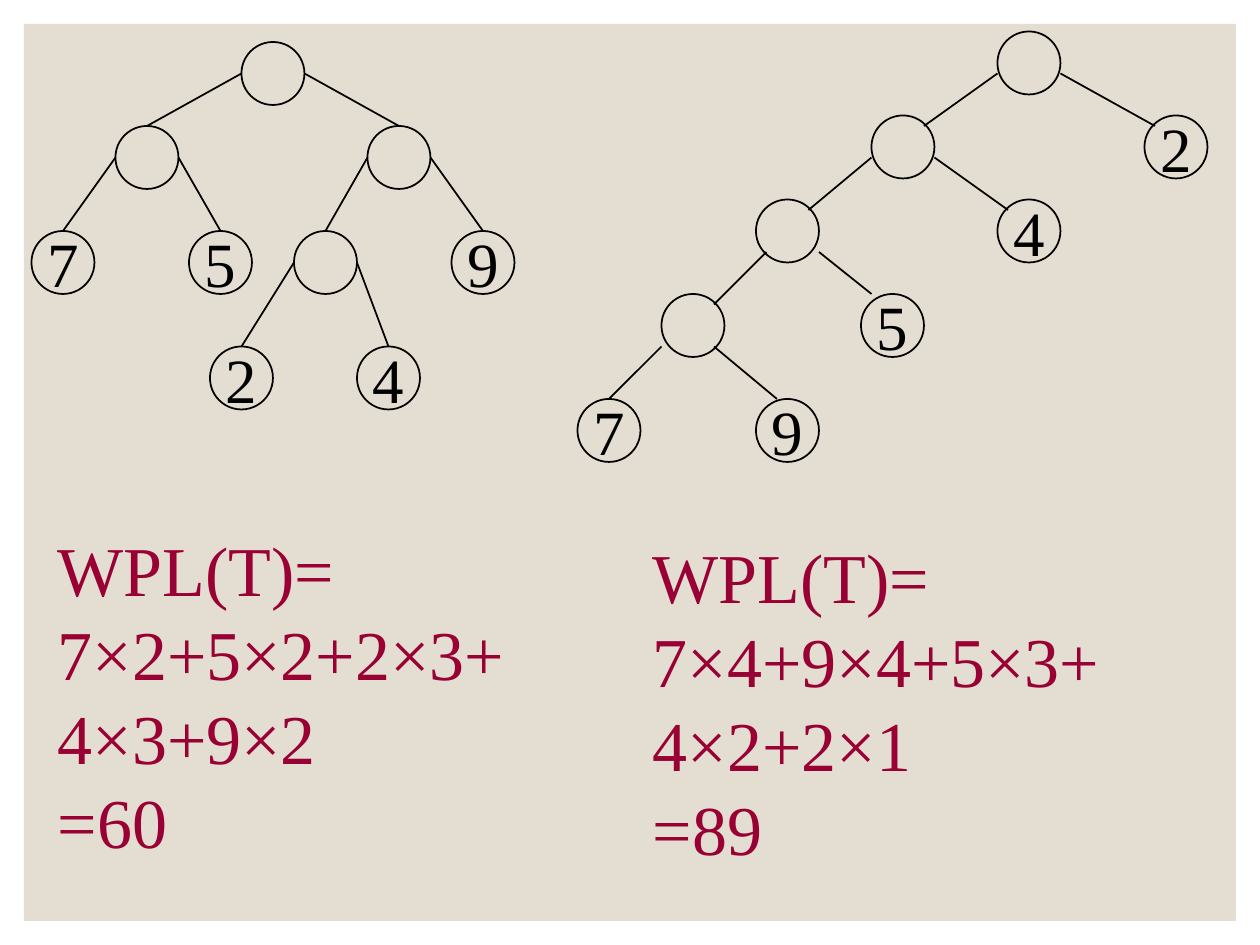
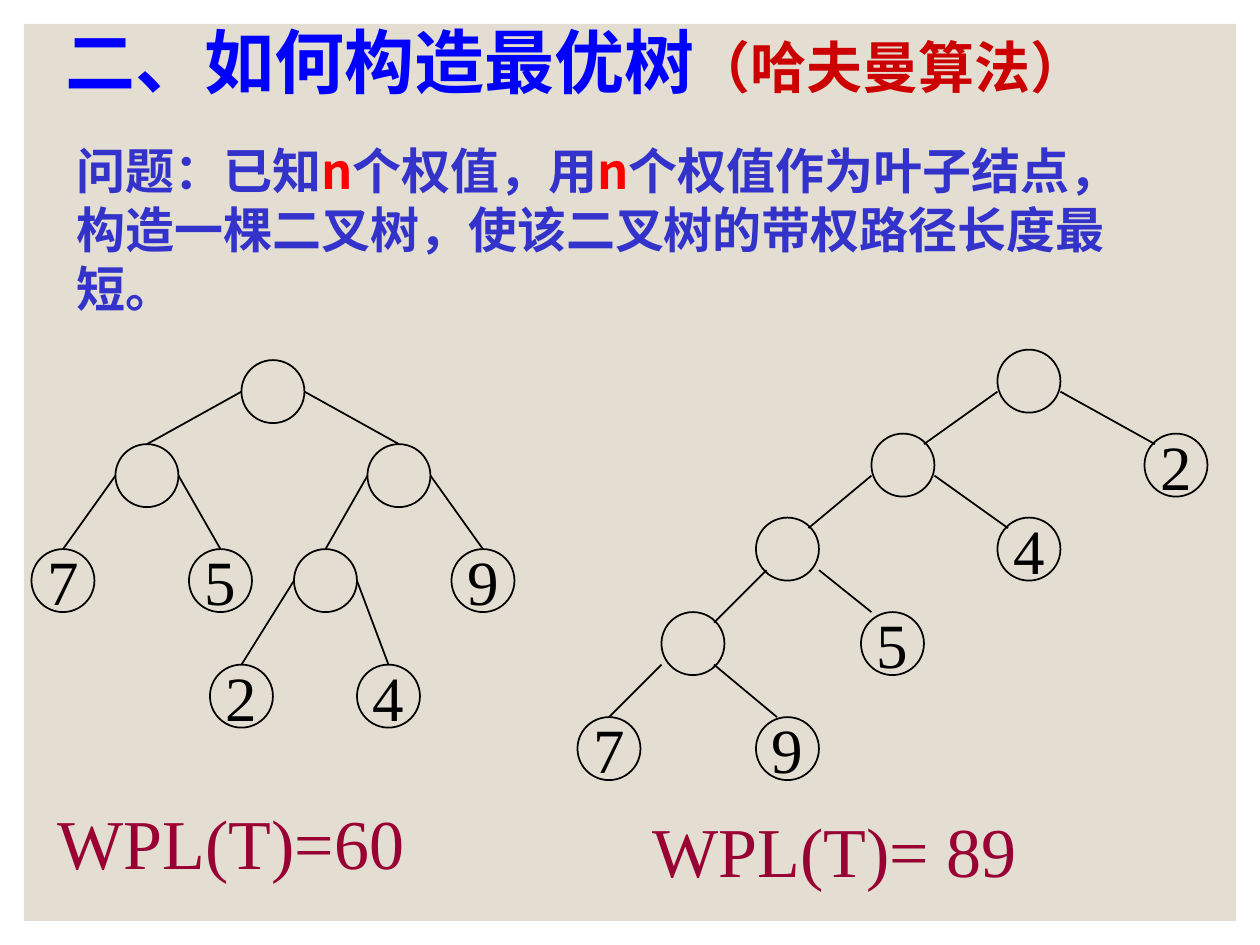
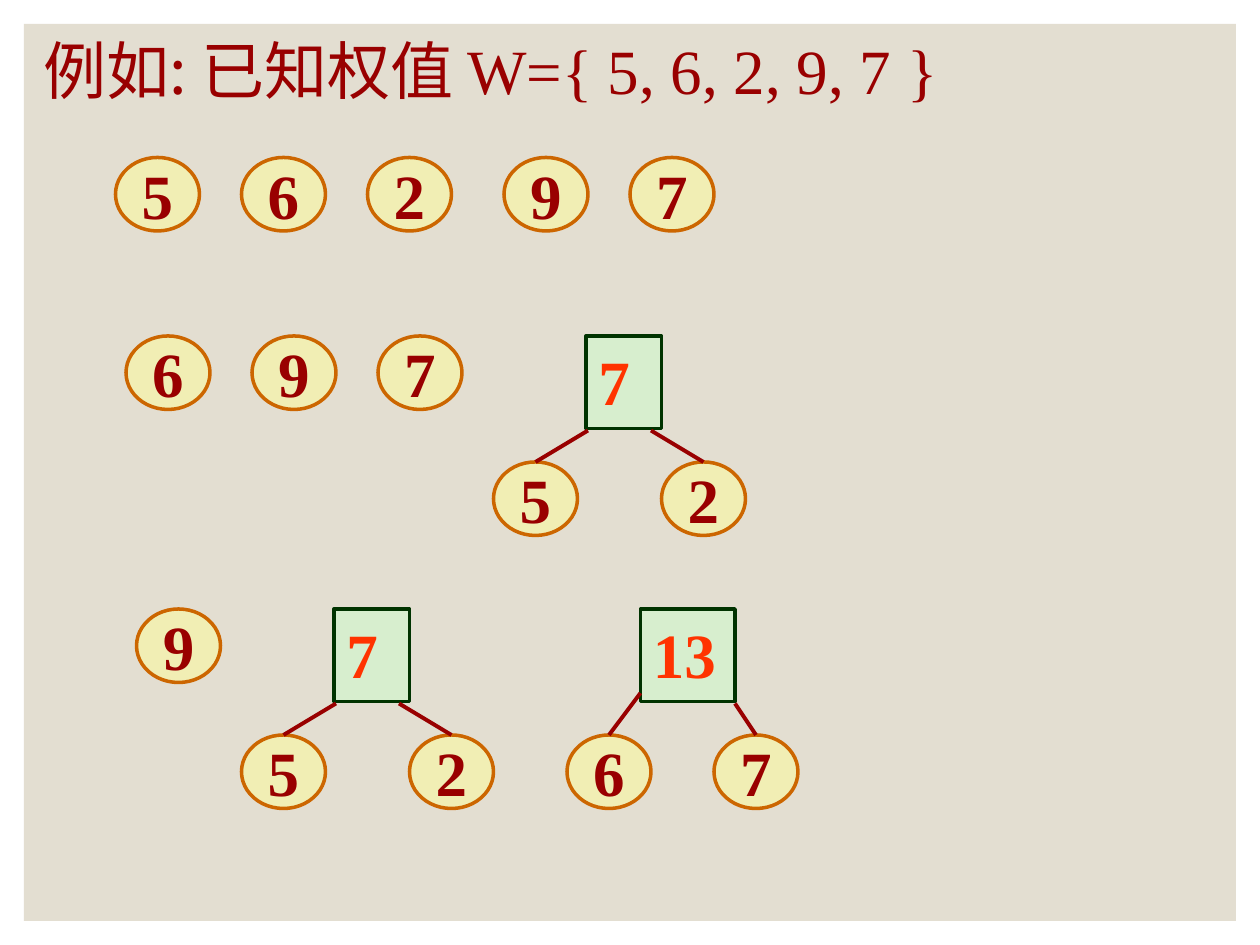
from lxml import etree
from pptx import Presentation
from pptx.dml.color import RGBColor
from pptx.enum.shapes import MSO_CONNECTOR, MSO_SHAPE
from pptx.enum.text import MSO_ANCHOR, MSO_AUTO_SIZE, PP_ALIGN
from pptx.oxml.ns import qn
from pptx.util import Pt

LEFT, CENTER = PP_ALIGN.LEFT, PP_ALIGN.CENTER
TOP, MIDDLE = MSO_ANCHOR.TOP, MSO_ANCHOR.MIDDLE
OVAL, RECTANGLE = MSO_SHAPE.OVAL, MSO_SHAPE.RECTANGLE
STRAIGHT = MSO_CONNECTOR.STRAIGHT
SERIF, CJK = "Times New Roman", "Noto Sans CJK SC"
LINE_SPACING = 1.2
BLACK, DARK_RED, WINE = "000000", "990000", "990033"
BLUE, INDIGO, RED, BRICK = "0000FF", "3333CC", "FF0000", "CC0000"
SAND, YELLOW, ORANGE = "E3DED1", "FFFF99", "CC6600"
GREEN, DARK_GREEN, VERMILION = "CCFFCC", "003300", "FF3300"


def color(hex_string):
    """Turn a hex string into a colour."""
    return RGBColor.from_string(hex_string)


def write(shape, runs, bold=False, align=LEFT, anchor=TOP, wrap=True):
    """Fill a shape with one paragraph of (text, size, font, colour) runs."""
    frame = shape.text_frame
    frame.auto_size = MSO_AUTO_SIZE.NONE
    frame.word_wrap = wrap
    frame.vertical_anchor = anchor
    paragraph = frame.paragraphs[0]
    paragraph.alignment = align
    paragraph.space_before = Pt(0)
    paragraph.line_spacing = Pt(LINE_SPACING * runs[0][1])
    paragraph.font.bold = bold
    for text, size, face, hex_string in runs:
        for index, line in enumerate(text.split("\n")):
            if index:
                paragraph.add_line_break()
            run = paragraph.add_run()
            run.text = line
            run.font.size = Pt(size)
            run.font.name = face
            run.font.bold = bold
            run.font.color.rgb = color(hex_string)
            etree.SubElement(run.font._element, qn("a:ea"), typeface=CJK)


prs = Presentation()
prs.slide_width, prs.slide_height = Pt(720), Pt(540)
blank, title_only, title_and_body = (prs.slide_layouts[i] for i in (6, 5, 1))
comparison = prs.slides.add_slide(blank)
problem = prs.slides.add_slide(title_and_body)
example = prs.slides.add_slide(title_only)

# The sand panel belongs to the master, behind everything
panel = comparison.shapes.add_shape(RECTANGLE, Pt(13.7), Pt(13.7), Pt(692.6), Pt(512.6))
panel.shadow.inherit = False
panel.fill.solid()
panel.fill.fore_color.rgb = color(SAND)
panel.line.fill.background()
prs.slide_master.shapes._spTree.insert(2, panel._element)

# Headings
title = problem.shapes.title
title.left, title.top, title.width, title.height = Pt(30), Pt(7.2), Pt(660), Pt(84)
write(title, [("二、如何构造最优树", 40, SERIF, BLUE),
              ("（哈夫曼算法）", 32, SERIF, BRICK)], bold=True)

question = problem.placeholders[1]
question.left, question.top, question.width, question.height = Pt(36.7), Pt(77), Pt(635), Pt(108)
question_runs = [("问题：已知", INDIGO), ("n", RED), ("个权值，用", INDIGO), ("n", RED),
                 ("个权值作为叶子结点，构造一棵二叉树，使该二叉树的带权路径长度最短。", INDIGO)]
write(question, [(text, 28, CJK, tint) for text, tint in question_runs], bold=True)
question_props = question.text_frame.paragraphs[0]._p.get_or_add_pPr()
for setting in ("marL", "indent", "hangingPunct"):
    question_props.set(setting, "0")
etree.SubElement(question_props, qn("a:buNone"))

title = example.shapes.title
title.left, title.top, title.width, title.height = Pt(17.6), Pt(14.4), Pt(600), Pt(50.4)
write(title, [("例如: 已知权值 ", 36, CJK, DARK_RED),
              ("W={ 5, 6, 2, 9, 7 }", 36, SERIF, DARK_RED)])

# Trees on a 6 pt grid; leaves are named by their weight, inner nodes by a letter
GRID, NODE = 6, 36
balanced_nodes = {"A": (23, 4), "B": (11, 12), "C": (35, 12), "D": (28, 22), "7": (3, 22),
                  "5": (18, 22), "9": (43, 22), "2": (20, 33), "4": (34, 33)}
# Each branch leaves the side of the parent and meets the top of the child
balanced_branches = [(parent, child, (side, 3), (3, 0))
                     for parent, children in (("A", "BC"), ("B", "75"), ("C", "D9"), ("D", "24"))
                     for child, side in zip(children, (0, 6))]
skewed_nodes = {"A": (95, 3), "B": (83, 11), "C": (72, 19), "D": (63, 28), "2": (109, 11),
                "4": (95, 19), "5": (82, 28), "7": (55, 38), "9": (72, 38)}
# Parent, child, then the offsets of both ends from their nodes
skewed_branches = [("A", "B", (0, 4), (5, 1)), ("A", "2", (6, 4), (1, 1)),
                   ("B", "C", (0, 4), (5, 1)), ("B", "4", (6, 4), (1, 1)),
                   ("C", "D", (1, 5), (5, 1)), ("C", "5", (6, 5), (1, 0)),
                   ("D", "7", (0, 5), (3, 0)), ("D", "9", (5, 5), (2, 0))]

branches = []  # slide, x1, y1, x2, y2, colour, width
for slide, drop in ((comparison, 0), (problem, 181.8)):
    for nodes, links in ((balanced_nodes, balanced_branches), (skewed_nodes, skewed_branches)):
        for name, (column, row) in nodes.items():
            node = slide.shapes.add_shape(OVAL, Pt(column * GRID), Pt(row * GRID + drop),
                                          Pt(NODE), Pt(NODE))
            node.shadow.inherit = False
            node.fill.background()
            node.line.color.rgb = color(BLACK)
            node.line.width = Pt(1)
            if name.isdigit():
                write(node, [(name, 36, SERIF, BLACK)], align=CENTER, anchor=MIDDLE, wrap=False)
        for parent, child, leave, arrive in links:
            x1, y1, x2, y2 = (GRID * (start + offset) for start, offset in
                              zip(nodes[parent] + nodes[child], leave + arrive))
            branches.append((slide, x1, y1 + drop, x2, y2 + drop, BLACK, 1))

# Weighted path lengths under the trees
path_lengths = [
    (comparison, 26, 297.4, 200, "WPL(T)=\n7×2+5×2+2×3+\n4×3+9×2\n=60"),
    (comparison, 366, 301.4, 200, "WPL(T)=\n7×4+9×4+5×3+\n4×2+2×1\n=89"),
    (problem, 26, 453.6, 55.4, "WPL(T)=60"),
    (problem, 366, 457.9, 55.4, "WPL(T)= 89"),
]
for slide, left, top, height, formula in path_lengths:
    caption = slide.shapes.add_textbox(Pt(left), Pt(top), Pt(280), Pt(height))
    write(caption, [(formula, 40, SERIF, WINE)])

# Example: free weights, then merged pairs
LEAF_WIDTH, LEAF_HEIGHT, BOX_HEIGHT, LEVEL = 48, 42, 52.8, 72
leaves = [("5", 66, 90), ("6", 138, 90), ("2", 210, 90), ("9", 288, 90), ("7", 360, 90),
          ("6", 72, 192), ("9", 144, 192), ("7", 216, 192), ("9", 78, 348)]
# Sum, left, top, width, then each child: weight, left, start of its branch
merges = [
    ("7", 334.8, 192, 43.2, [("5", 282, 336, 246), ("2", 378, 372, 246)]),
    ("7", 190.8, 348, 43.2, [("5", 138, 192, 402), ("2", 234, 228, 402)]),
    ("13", 366, 348, 54, [("6", 324, 366, 396), ("7", 408, 420, 402)]),
]
tokens = [(OVAL, weight, left, top, LEAF_WIDTH, LEAF_HEIGHT) for weight, left, top in leaves]
for total, left, top, width, children in merges:
    tokens.append((RECTANGLE, total, left, top, width, BOX_HEIGHT))
    for weight, child_left, x, y in children:
        tokens.append((OVAL, weight, child_left, top + LEVEL, LEAF_WIDTH, LEAF_HEIGHT))
        branches.append((example, x, y, child_left + LEAF_WIDTH / 2, top + LEVEL, DARK_RED, 2.25))

looks = {OVAL: (YELLOW, ORANGE, DARK_RED, CENTER, MIDDLE, False),
         RECTANGLE: (GREEN, DARK_GREEN, VERMILION, LEFT, TOP, True)}
for preset, weight, left, top, width, height in tokens:
    fill, outline, ink, align, anchor, wrap = looks[preset]
    token = example.shapes.add_shape(preset, Pt(left), Pt(top), Pt(width), Pt(height))
    token.shadow.inherit = False
    token.fill.solid()
    token.fill.fore_color.rgb = color(fill)
    tint = token._element.spPr.find(qn("a:solidFill"))[0]
    etree.SubElement(tint, qn("a:alpha"), val="50000")
    token.line.color.rgb = color(outline)
    token.line.width = Pt(2)
    write(token, [(weight, 36, SERIF, ink)], bold=True, align=align, anchor=anchor, wrap=wrap)

for slide, x1, y1, x2, y2, ink, width in branches:
    branch = slide.shapes.add_connector(STRAIGHT, Pt(x1), Pt(y1), Pt(x2), Pt(y2))
    branch.line.color.rgb = color(ink)
    branch.line.width = Pt(width)
    etree.SubElement(branch._element.spPr, qn("a:effectLst"))

prs.save("out.pptx")
